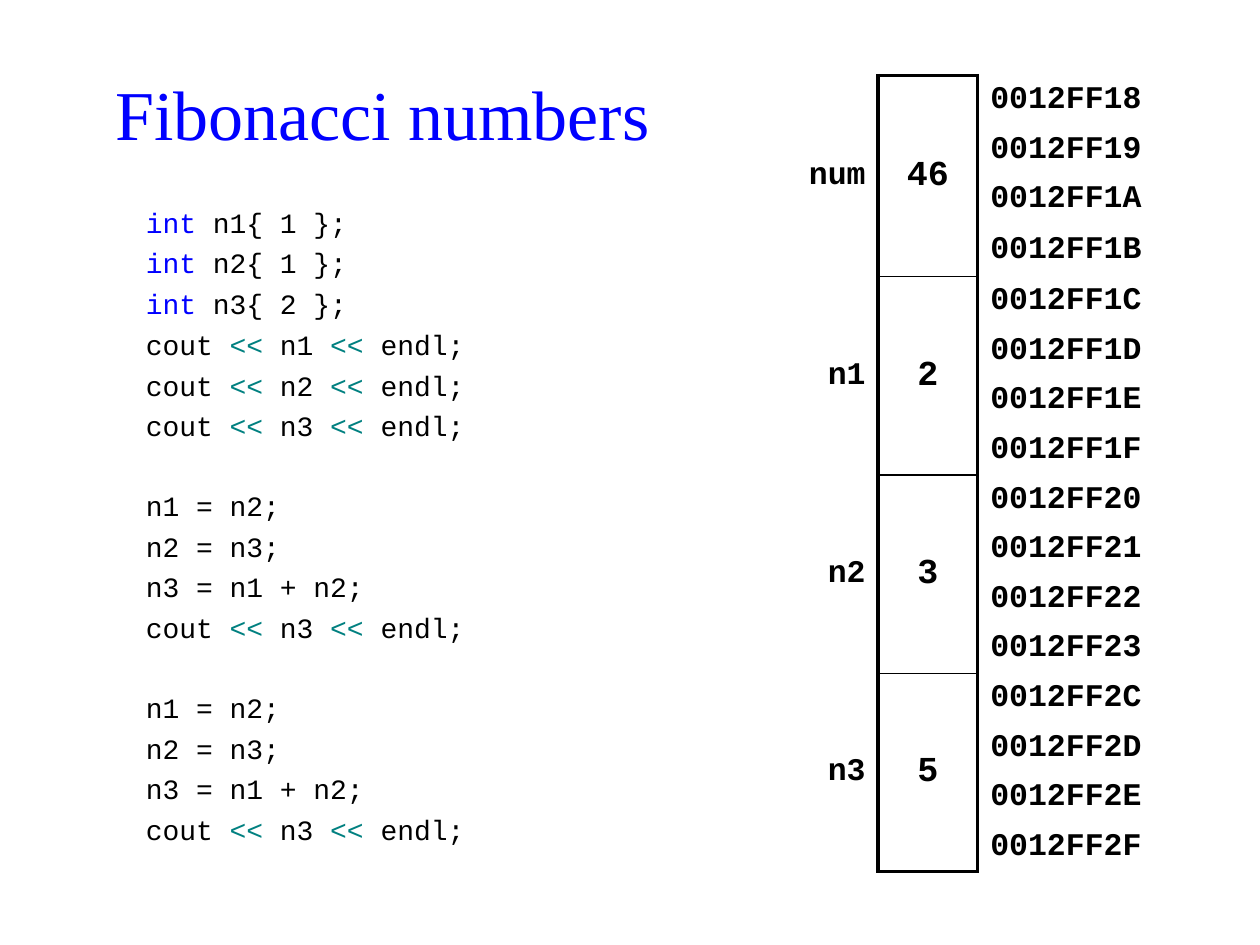
from dataclasses import dataclass

from lxml import etree
from pptx import Presentation
from pptx.dml.color import RGBColor
from pptx.enum import text
from pptx.oxml import ns
from pptx.util import Inches, Pt

COLORS = {"keyword": "0000FF", "operator": "008080", "plain": "000000"}
TITLE_FONT, CODE_FONT = "Times New Roman", "Courier New"
BYTES_PER_INT = 4
THICK, THIN = 2.25, 1


@dataclass
class Variable:
    name: str
    value: str
    address: int


VARIABLES = [
    Variable("num", "46", 0x0012FF18),
    Variable("n1", "2", 0x0012FF1C),
    Variable("n2", "3", 0x0012FF20),
    Variable("n3", "5", 0x0012FF2C),
]

NEXT_NUMBER = ["n1 = n2;", "n2 = n3;", "n3 = n1 + n2;", "cout << n3 << endl;"]
CODE_BLOCKS = [
    ["int n1{ 1 };", "int n2{ 1 };", "int n3{ 2 };",
     *(f"cout << {name} << endl;" for name in ("n1", "n2", "n3"))],
    NEXT_NUMBER,
    NEXT_NUMBER,
]


def style(run, font: str, size: float, color: str, bold: bool = False) -> None:
    run.font.name, run.font.size, run.font.bold = font, Pt(size), bold
    run.font.color.rgb = RGBColor.from_string(COLORS[color])


def write_code(paragraph, line: str) -> None:
    """Write one code line, with keywords and operators in colour."""
    kinds = {"int": "keyword", "<<": "operator"}
    for i, token in enumerate(line.split(" ")):
        run = paragraph.add_run()
        run.text = f" {token}" if i else token
        style(run, CODE_FONT, 16, kinds.get(token, "plain"))


def set_borders(cell, **widths: float) -> None:
    """Draw the given edges (L, R, T, B) and hide the others."""
    properties = cell._tc.get_or_add_tcPr()
    for edge in "LRTB":
        line = etree.SubElement(properties, ns.qn(f"a:ln{edge}"))
        if edge in widths:
            line.set("w", str(Pt(widths[edge])))
            fill = etree.SubElement(line, ns.qn("a:solidFill"))
            etree.SubElement(fill, ns.qn("a:srgbClr"), val=COLORS["plain"])
        else:
            etree.SubElement(line, ns.qn("a:noFill"))


def write_cell(cell, content: str, size: float, align) -> None:
    cell.text_frame.text = content
    paragraph = cell.text_frame.paragraphs[0]
    paragraph.alignment = align
    style(paragraph.runs[0], CODE_FONT, size, "plain", bold=True)


def add_title(slide) -> None:
    title = slide.shapes.title
    title.left, title.top = Inches(0.67), Inches(0.4)
    title.width, title.height = Inches(4.73), Inches(0.98)
    title.text_frame.text = "Fibonacci numbers"
    title.text_frame.vertical_anchor = text.MSO_ANCHOR.MIDDLE
    heading = title.text_frame.paragraphs[0]
    heading.alignment = text.PP_ALIGN.CENTER
    style(heading.runs[0], TITLE_FONT, 40, "keyword")


def add_code(slide) -> None:
    code = slide.shapes.add_textbox(
        Inches(1.06), Inches(1.58), Inches(2.76), Inches(5.12)).text_frame
    code.word_wrap = True
    line_gap, block_gap = 4.1, 26.3
    for b, block in enumerate(CODE_BLOCKS):
        for i, line in enumerate(block):
            first = b == i == 0
            paragraph = code.paragraphs[0] if first else code.add_paragraph()
            paragraph.space_before = Pt(block_gap if b and not i else line_gap)
            write_code(paragraph, line)


def add_memory(slide) -> None:
    rows = len(VARIABLES) * BYTES_PER_INT
    memory = slide.shapes.add_table(
        rows, 3, Inches(6.18), Inches(0.6), Inches(3.15), Inches(6.3)).table
    memory.first_row = memory.horz_banding = False
    for column, width in zip(memory.columns, (0.79, 0.79, 1.57)):
        column.width = Inches(width)

    # Borders, fill and margins
    for r in range(rows):
        name, value, address = (memory.cell(r, c) for c in range(3))
        edges = {"L": THICK, "R": THICK}
        if r % BYTES_PER_INT == 0:
            edges["T"] = THIN if r else THICK
        if (r + 1) % BYTES_PER_INT == 0:
            edges["B"] = THIN if r + 1 < rows else THICK
        set_borders(name, R=THICK)
        set_borders(value, **edges)
        set_borders(address, L=THICK)
        for cell in (name, value, address):
            cell.fill.background()
            cell.vertical_anchor = text.MSO_ANCHOR.MIDDLE
            cell.margin_top = cell.margin_bottom = Inches(0.04)

    # Name, value and byte addresses of each variable
    for v, variable in enumerate(VARIABLES):
        top = v * BYTES_PER_INT
        bottom = top + BYTES_PER_INT - 1
        for c in (0, 1):
            memory.cell(top, c).merge(memory.cell(bottom, c))
        # The merged cell ends on the last row, so it takes that row's edge
        last = memory.cell(bottom, 1)._tc.tcPr.find(ns.qn("a:lnB"))
        merged = memory.cell(top, 1)._tc.tcPr
        merged.replace(merged.find(ns.qn("a:lnB")),
                       etree.fromstring(etree.tostring(last)))
        write_cell(memory.cell(top, 0), variable.name, 18, text.PP_ALIGN.RIGHT)
        write_cell(memory.cell(top, 1), variable.value, 20, text.PP_ALIGN.CENTER)
        for offset in range(BYTES_PER_INT):
            write_cell(memory.cell(top + offset, 2),
                       f"{variable.address + offset:08X}", 18, text.PP_ALIGN.LEFT)


def main() -> None:
    presentation = Presentation()
    presentation.slide_width, presentation.slide_height = Inches(10), Inches(7.5)
    slide = presentation.slides.add_slide(presentation.slide_layouts[5])
    add_title(slide)
    add_code(slide)
    add_memory(slide)
    presentation.save("out.pptx")


if __name__ == "__main__":
    main()
